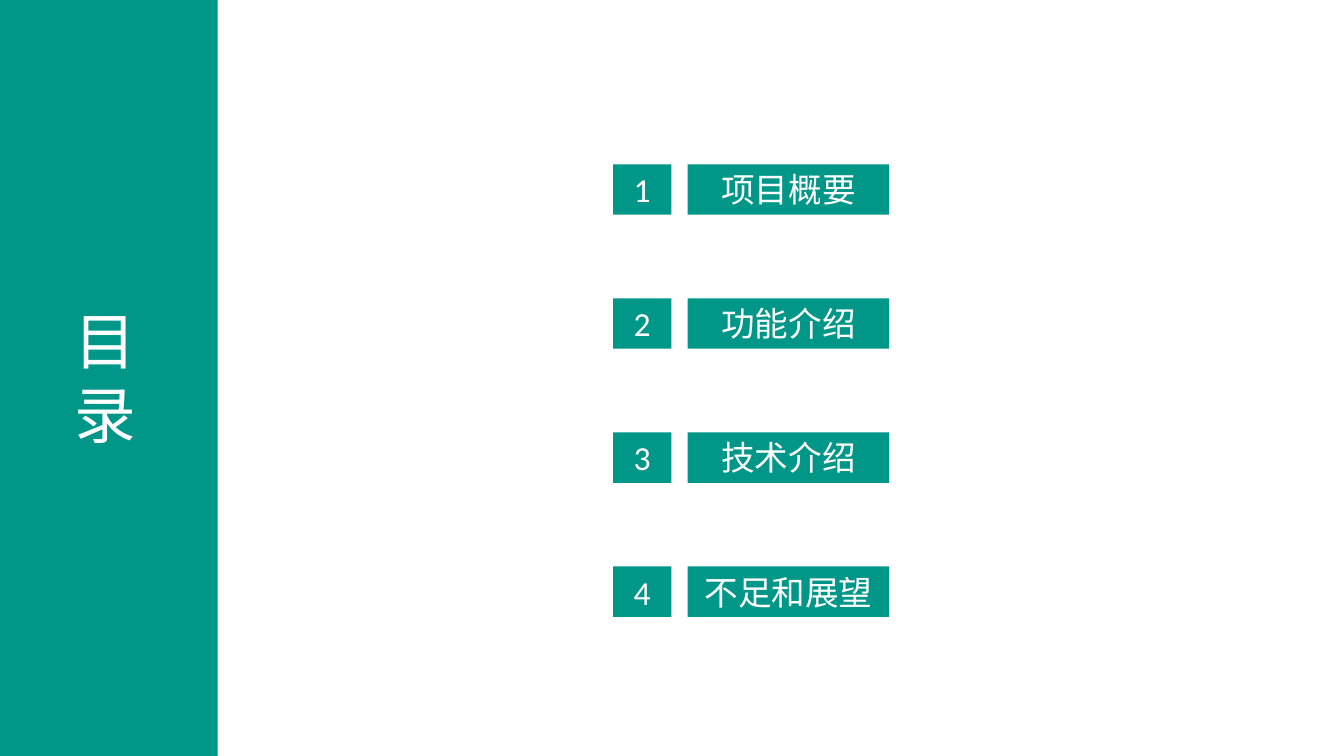
from dataclasses import dataclass

from pptx import Presentation
from pptx.dml.color import RGBColor
from pptx.enum.shapes import MSO_SHAPE
from pptx.enum.text import MSO_ANCHOR, MSO_AUTO_SIZE, PP_ALIGN
from pptx.util import Inches, Pt

RECTANGLE = MSO_SHAPE.RECTANGLE
TOP = MSO_ANCHOR.TOP
GROW = MSO_AUTO_SIZE.SHAPE_TO_FIT_TEXT
LEFT, CENTER = PP_ALIGN.LEFT, PP_ALIGN.CENTER


@dataclass(frozen=True)
class Theme:
    accent: RGBColor = RGBColor(0x00, 0x96, 0x88)
    text: RGBColor = RGBColor(0xFF, 0xFF, 0xFF)
    font: str = "Calibri"
    title_size: int = 44
    entry_size: int = 24


THEME = Theme()
SECTIONS = ["项目概要", "功能介绍", "技术介绍", "不足和展望"]


def write_text(shape, text, size, alignment):
    frame = shape.text_frame
    frame_format = {"word_wrap": True, "auto_size": GROW, "vertical_anchor": TOP}
    for name, value in frame_format.items():
        setattr(frame, name, value)
    paragraph = frame.paragraphs[0]
    paragraph.alignment = alignment
    run = paragraph.add_run()
    run.text = text
    for name, value in {"name": THEME.font, "size": Pt(size)}.items():
        setattr(run.font, name, value)
    run.font.color.rgb = THEME.text


def add_block(shapes, left, top, width, height):
    """Add a flat accent rectangle to a slide or group."""
    block = shapes.add_shape(RECTANGLE, left, top, width, height)
    block.shadow.inherit = False
    block.fill.solid()
    block.fill.fore_color.rgb = THEME.accent
    block.line.fill.background()
    return block


def add_sidebar(slide, left, top, width, height):
    add_block(slide.shapes, left, top, width, height)
    title_width, title_height = Inches(0.89), Inches(1.58)
    title = slide.shapes.add_textbox(
        left + Inches(0.64), top + (height - title_height) // 2,
        title_width, title_height)
    write_text(title, "目录", THEME.title_size, LEFT)


def add_contents(slide, left, top, width, row_height, row_pitch):
    """Stack one group per section: a number block and a title block."""
    number_width, gap = Inches(0.58), Inches(0.16)
    title_offset = number_width + gap
    for index, section in enumerate(SECTIONS):
        row = slide.shapes.add_group_shape()
        row_top = top + index * row_pitch
        cells = [
            (str(index + 1), left, number_width),
            (section, left + title_offset, width - title_offset),
        ]
        for text, cell_left, cell_width in cells:
            block = add_block(row.shapes, cell_left, row_top, cell_width, row_height)
            write_text(block, text, THEME.entry_size, CENTER)


def main():
    presentation = Presentation()
    presentation.slide_width = Inches(13.33)
    presentation.slide_height = Inches(7.5)
    slide = presentation.slides.add_slide(presentation.slide_layouts[6])
    add_sidebar(slide, 0, 0, Inches(2.16), presentation.slide_height)
    add_contents(slide, Inches(6.08), Inches(1.63), Inches(2.74),
                 row_height=Inches(0.5), row_pitch=Inches(1.33))
    presentation.save("out.pptx")


if __name__ == "__main__":
    main()
